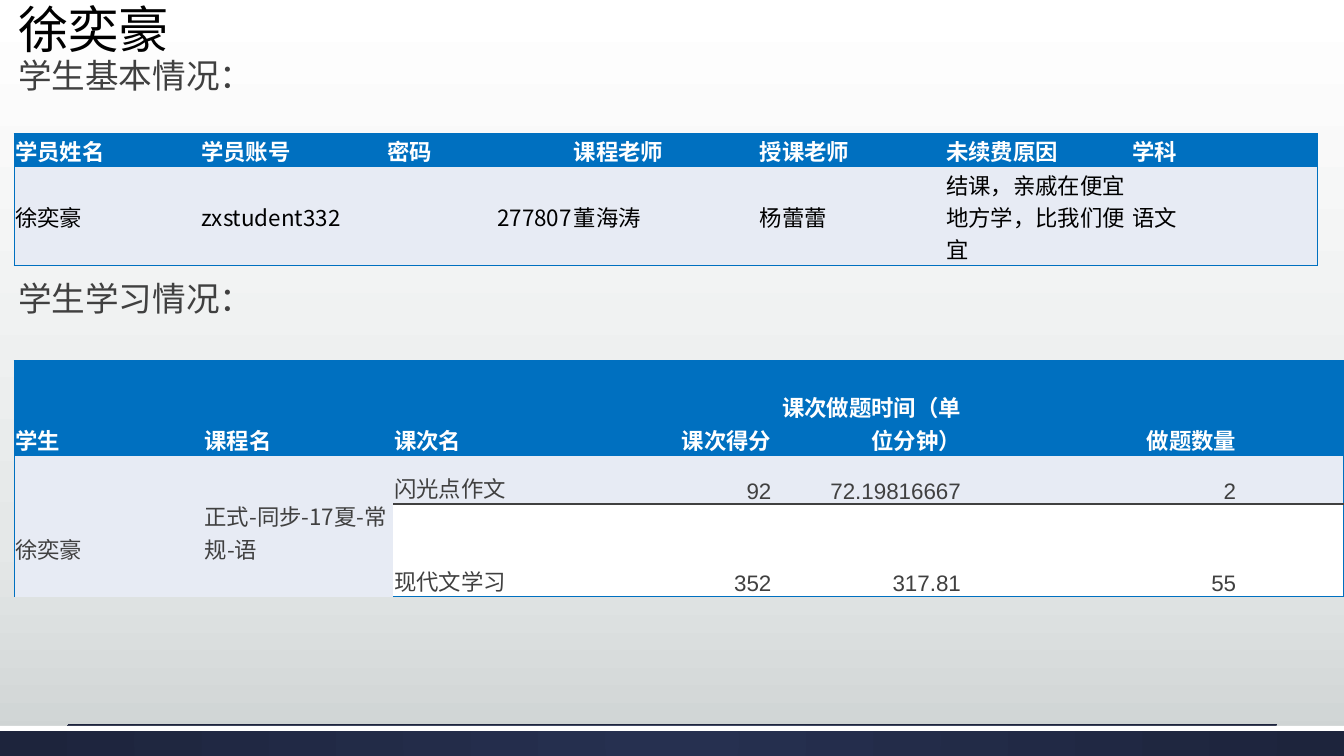
from lxml import etree
from pptx import Presentation
from pptx.dml.color import RGBColor
from pptx.enum import shapes, text
from pptx.oxml.ns import qn
from pptx.util import Inches, Pt

HAN = "Noto Sans CJK SC"
BLUE, PALE, WHITE, BLACK, GREY = "0070C0", "E7EBF4", "FFFFFF", "000000", "404040"
LEFT, RIGHT = text.PP_ALIGN.LEFT, text.PP_ALIGN.RIGHT
NO_STYLE = "{2D5ABB26-0587-4C30-8999-92F81FD0307C}"
SLIDE_W = 13.33


def rgb(value):
    return RGBColor.from_string(value)


def set_all(target, values):
    for name, value in values.items():
        setattr(target, name, value)


def add_xml(parent, tag, **attributes):
    return etree.SubElement(parent, qn(tag), attributes)


class StudentSlide:
    def __init__(self, deck):
        self.slide = deck.slides.add_slide(deck.slide_layouts[1])
        self.shapes = self.slide.shapes

    def gradient(self, fill, owner, stops, circular=False):
        """Fill with (percent, colour) stops, downwards or from the centre."""
        fill.gradient()
        grad = next(owner.iter(qn("a:gradFill")))
        for child in list(grad):
            grad.remove(child)
        stop_list = add_xml(grad, "a:gsLst")
        for percent, colour in stops:
            stop = add_xml(stop_list, "a:gs", pos=str(percent * 1000))
            add_xml(stop, "a:srgbClr", val=colour)
        if circular:
            focus = add_xml(grad, "a:path", path="circle")
            add_xml(focus, "a:fillToRect", **dict.fromkeys("ltrb", "50000"))
        else:
            add_xml(grad, "a:lin", ang="5400000", scaled="0")

    def background(self, stops):
        self.gradient(self.slide.background.fill, self.slide.element, stops)

    def band(self, top, height):
        band = self.shapes.add_shape(shapes.MSO_SHAPE.RECTANGLE, 0, Inches(top),
                                     Inches(SLIDE_W), Inches(height))
        band.shadow.inherit = False
        band.line.fill.background()
        return band

    def rule(self, left, right, y):
        rule = self.shapes.add_connector(shapes.MSO_CONNECTOR.STRAIGHT, Inches(left),
                                         Inches(y), Inches(right), Inches(y))
        rule.line.color.rgb = rgb("1D243C")
        rule.line.width = Pt(0.75)
        add_xml(rule._element.spPr, "a:effectLst")

    def add_words(self, paragraph, words, font, size, colour, bold=False, align=LEFT):
        paragraph.alignment = align
        run = paragraph.add_run()
        run.text = words
        set_all(run.font, {"name": font, "size": Pt(size), "bold": bold})
        run.font.color.rgb = rgb(colour)
        add_xml(run._r.get_or_add_rPr(), "a:ea", typeface=font)

    def heading(self, holder, top, height, lines):
        set_all(holder, {"left": Inches(0.08), "top": Inches(top),
                         "width": Inches(9.48), "height": Inches(height)})
        frame = holder.text_frame
        set_all(frame, {"vertical_anchor": text.MSO_ANCHOR.TOP, "word_wrap": True,
                        "auto_size": text.MSO_AUTO_SIZE.NONE})
        for index, line in enumerate(lines):
            paragraph = frame.add_paragraph() if index else frame.paragraphs[0]
            properties = paragraph._p.get_or_add_pPr()
            set_all(paragraph, {"line_spacing": 0.9, "space_before": Pt(0)})
            properties.set("marL", "0")
            properties.set("indent", "0")
            add_xml(properties, "a:buNone")
            self.add_words(paragraph, *line)

    def border(self, cell, side, colour):
        line = add_xml(cell._tc.get_or_add_tcPr(), f"a:ln{side}", w="12700")
        add_xml(add_xml(line, "a:solidFill"), "a:srgbClr", val=colour)

    def table(self, left, top, widths, heights, rows, anchor, ink,
              right_columns, fills, number_font=HAN):
        """Add a table with a blue header and outline; returns the table."""
        table = self.shapes.add_table(
            len(rows), len(widths), Inches(left), Inches(top),
            Inches(sum(widths)), Inches(sum(heights))).table
        table._tbl.tblPr.find(qn("a:tableStyleId")).text = NO_STYLE
        for column, width in zip(table.columns, widths):
            column.width = Inches(width)
        for row, height in zip(table.rows, heights):
            row.height = Inches(height)
        last_row, last_column = len(rows) - 1, len(widths) - 1
        for r, row in enumerate(rows):
            for c, words in enumerate(row):
                cell = table.cell(r, c)
                set_all(cell, {"vertical_anchor": anchor, "margin_bottom": 0,
                               "margin_left": Inches(0.01), "margin_top": Inches(0.01),
                               "margin_right": Inches(0.01)})
                edges = {"L": c == 0, "R": c == last_column,
                         "T": r == 0, "B": r == last_row}
                for side, on_edge in edges.items():
                    if on_edge:
                        self.border(cell, side, BLUE)
                    elif side == "B" and r and c > 1:
                        self.border(cell, side, GREY)
                cell.fill.solid()
                cell.fill.fore_color.rgb = rgb(fills[r])
                if words:
                    number = words.replace(".", "").isdigit()
                    to_right = number or c in right_columns
                    self.add_words(cell.text_frame.paragraphs[0], words,
                                   number_font if number else HAN, 16,
                                   ink if r else WHITE, r == 0,
                                   RIGHT if to_right else LEFT)
        return table


def main():
    deck = Presentation()
    set_all(deck, {"slide_width": Inches(SLIDE_W), "slide_height": Inches(7.5)})
    page = StudentSlide(deck)
    page.background([(0, "FFFFFF"), (72, "E5E8E8"), (100, "CDD2D2")])

    footer = page.band(7.2, 0.3)
    page.gradient(footer.fill, footer._element, [(0, "263050"), (100, "1D243C")], True)
    stripe = page.band(7.2, 0.05)
    stripe.fill.solid()
    stripe.fill.fore_color.rgb = rgb(WHITE)
    page.rule(0.67, 12.67, 7.19)

    name, study = page.slide.placeholders
    page.heading(name, 0, 1.72, [("徐奕豪", HAN, 36, BLACK),
                                 ("学生基本情况：", "Cabin", 24, GREY)])
    page.heading(study, 2.75, 0.5, [("学生学习情况：", "Cabin", 24, GREY)])

    page.table(0.14, 1.33, [12.93 / 7] * 7, [0.33, 0.97], [
        ["学员姓名", "学员账号", "密码", "课程老师", "授课老师", "未续费原因", "学科"],
        ["徐奕豪", "zxstudent332", "277807", "董海涛", "杨蕾蕾",
         "结课，亲戚在便宜地方学，比我们便宜", "语文"],
    ], text.MSO_ANCHOR.MIDDLE, BLACK, (), [BLUE, PALE])

    lessons = page.table(0.14, 3.58, [1.88] * 5 + [2.73, 1.06], [0.94, 0.48, 0.92], [
        ["学生", "课程名", "课次名", "课次得分", "课次做题时间（单位分钟）", "做题数量", ""],
        ["徐奕豪", "正式-同步-17夏-常规-语", "闪光点作文", "92", "72.19816667", "2", ""],
        ["", "", "现代文学习", "352", "317.81", "55", ""],
    ], text.MSO_ANCHOR.BOTTOM, GREY, (3, 4, 5), [BLUE, PALE, WHITE], "Arial")
    for column in range(2):
        shared = lessons.cell(1, column)
        shared.merge(lessons.cell(2, column))
        shared.margin_bottom = Inches(0.32)

    deck.save("out.pptx")


if __name__ == "__main__":
    main()
